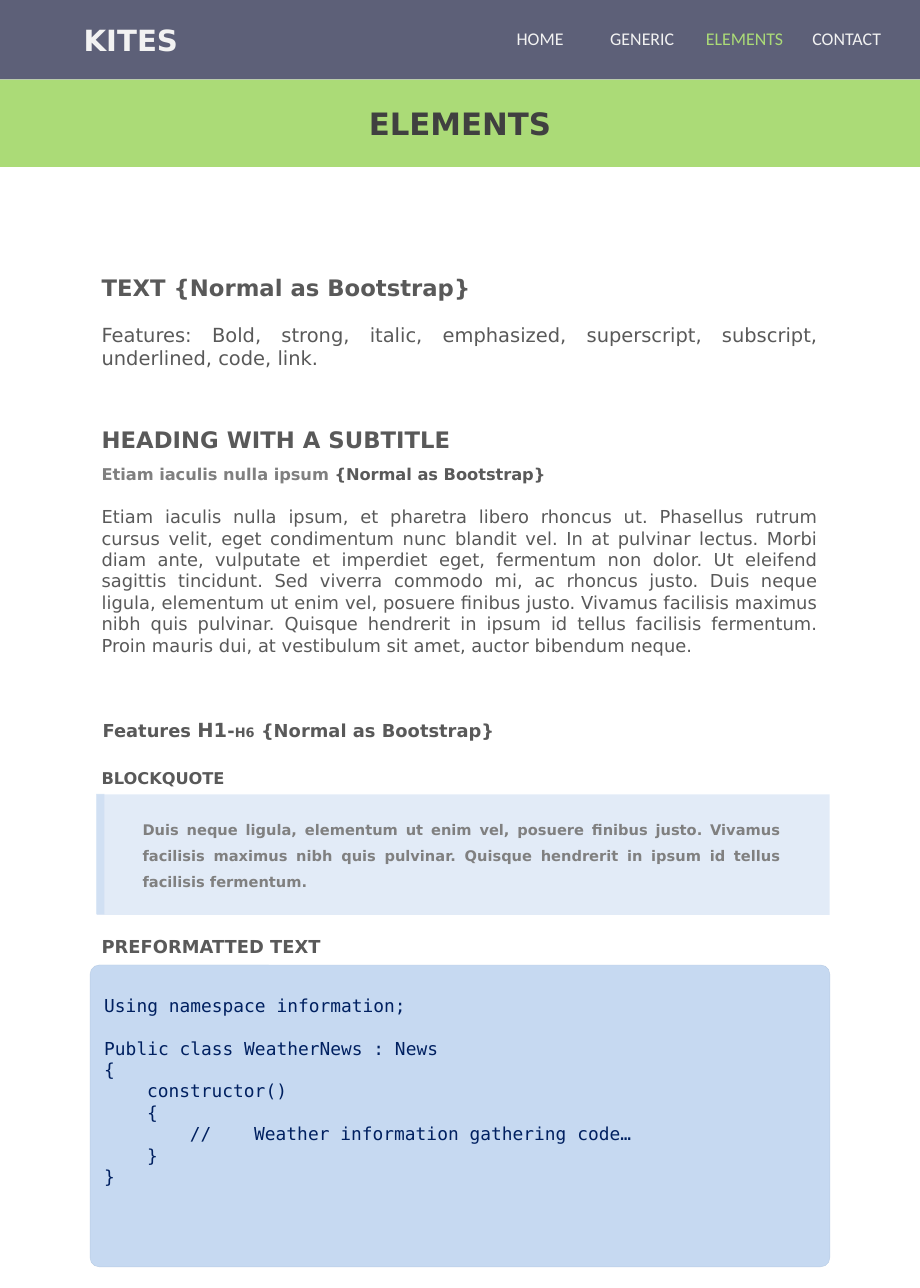
from lxml import etree
from pptx import Presentation, util as u
from pptx.dml.color import RGBColor
from pptx.enum import shapes, text
from pptx.oxml import ns

Cm, Pt = u.Cm, u.Pt
SANS, MONO, NAV_FONT = "DejaVu Sans", "DejaVu Sans Mono", "Calibri"
COLORS = {
    "navy": "0F1437", "white": "FFFFFF", "light": "F2F2F2", "green": "ABDB77",
    "title": "404040", "body": "595959", "muted": "808080",
    "blue": "C6D9F1", "edge": "B9CDE5", "code": "002060",
}
PAGE_WIDTH, PAGE_HEIGHT = 20, 28
NAV_HEIGHT = 1.73
LEFT, WIDTH, HEADING_WIDTH = 1.96, 16.08, 10.16
CODE_SIZE = 11
CODE_CHAR = CODE_SIZE * 0.6  # advance of one monospaced letter, in points
CODE_LINE = CODE_SIZE * 1.2  # gap of one line, in points

LOREM = (
    "Etiam iaculis nulla ipsum, et pharetra libero rhoncus ut. Phasellus rutrum cursus "
    "velit, eget condimentum nunc blandit vel. In at pulvinar lectus. Morbi diam ante, "
    "vulputate et imperdiet eget, fermentum non dolor. Ut eleifend sagittis tincidunt. "
    "Sed viverra commodo mi, ac rhoncus justo. Duis neque ligula, elementum ut enim vel, "
    "posuere finibus justo. Vivamus facilisis maximus nibh quis pulvinar. Quisque hendrerit "
    "in ipsum id tellus facilisis fermentum. Proin mauris dui, at vestibulum sit amet, "
    "auctor bibendum neque."
)
QUOTE = (
    "Duis neque ligula, elementum ut enim vel, posuere finibus justo. Vivamus facilisis "
    "maximus nibh quis pulvinar. Quisque hendrerit in ipsum id tellus facilisis fermentum."
)
CODE = [
    "Using namespace information;",
    "Public class WeatherNews : News",
    "{",
    "\tconstructor()",
    "\t{",
    "\t\t//\tWeather information gathering code…",
    "\t}",
    "}",
]


def rgb(name):
    return RGBColor.from_string(COLORS[name])


def style(paragraph, size, color, bold=False, font=SANS, align=text.PP_ALIGN.LEFT):
    paragraph.alignment = align
    paragraph.font.name = font
    paragraph.font.size = Pt(size)
    paragraph.font.bold = bold
    paragraph.font.color.rgb = rgb(color)


def add_panel(slide, left, top, width, height, color, opacity=100,
              kind=shapes.MSO_SHAPE.RECTANGLE):
    panel = slide.shapes.add_shape(kind, Cm(left), Cm(top), Cm(width), Cm(height))
    panel.shadow.inherit = False
    panel.fill.solid()
    panel.fill.fore_color.rgb = rgb(color)
    panel.line.fill.background()
    if opacity < 100:
        tint = panel.fill._xPr.find(ns.qn("a:solidFill"))[0]
        etree.SubElement(tint, ns.qn("a:alpha")).set("val", str(opacity * 1000))
    return panel


def add_text(slide, left, top, width, height, runs, size, color, bold=False,
             align=text.PP_ALIGN.LEFT):
    """Runs are (wording, size, colour); None keeps the paragraph's value."""
    box = slide.shapes.add_textbox(Cm(left), Cm(top), Cm(width), Cm(height))
    frame = box.text_frame
    frame.word_wrap = True
    frame.auto_size = text.MSO_AUTO_SIZE.SHAPE_TO_FIT_TEXT
    paragraph = frame.paragraphs[0]
    style(paragraph, size, color, bold, align=align)
    if isinstance(runs, str):
        runs = [(runs, None, None)]
    for wording, run_size, run_color in runs:
        run = paragraph.add_run()
        run.text = wording
        if run_size:
            run.font.size = Pt(run_size)
        if run_color:
            run.font.color.rgb = rgb(run_color)
    return paragraph


def add_menu(slide, entries, current):
    frame = slide.shapes.add_table(1, len(entries), Cm(10.63), Cm(0.39), Cm(8.89), Cm(0.92))
    menu = frame.table
    menu.first_row = menu.horz_banding = False
    # Plain table style: no grid
    menu._tbl.tblPr.find(ns.qn("a:tableStyleId")).text = "{2D5ABB26-0587-4C30-8999-92F81FD0307C}"
    for cell, entry in zip(menu.iter_cells(), entries):
        cell.fill.background()
        cell.vertical_anchor = text.MSO_ANCHOR.MIDDLE
        cell.margin_left = cell.margin_right = Cm(0.23)
        cell.margin_top = cell.margin_bottom = Cm(0.11)
        cell.text = entry
        style(cell.text_frame.paragraphs[0], 11, "green" if entry == current else "light",
              font=NAV_FONT, align=text.PP_ALIGN.CENTER)


def set_tabs(paragraph, columns):
    stops = etree.Element(ns.qn("a:tabLst"))
    for column in columns:
        stop = etree.SubElement(stops, ns.qn("a:tab"))
        stop.set("pos", str(int(Pt(column * CODE_CHAR))))
        stop.set("algn", "l")
    # Tab stops come before the default run properties
    paragraph._p.get_or_add_pPr().find(ns.qn("a:defRPr")).addprevious(stops)


def add_code(slide, lines):
    block = add_panel(slide, LEFT, 20.98, WIDTH, 6.56, "blue",
                      kind=shapes.MSO_SHAPE.ROUNDED_RECTANGLE)
    block.adjustments[0] = 0.03
    block.line.color.rgb = rgb("edge")
    block.line.width = Pt(0.25)
    frame = block.text_frame
    frame.word_wrap = True
    frame.vertical_anchor = text.MSO_ANCHOR.TOP
    frame.margin_top = Cm(0.58)
    for number, line in enumerate(lines):
        paragraph = frame.paragraphs[0] if number == 0 else frame.add_paragraph()
        paragraph.add_run().text = line
        style(paragraph, CODE_SIZE, "code", font=MONO)
        set_tabs(paragraph, (4, 8, 14))
    frame.paragraphs[0].space_after = Pt(CODE_LINE)


def main():
    deck = Presentation()
    deck.slide_width, deck.slide_height = Cm(PAGE_WIDTH), Cm(PAGE_HEIGHT)
    slide = deck.slides.add_slide(deck.slide_layouts[6])
    center, justify = text.PP_ALIGN.CENTER, text.PP_ALIGN.JUSTIFY

    # Navigation bar
    add_panel(slide, 0, 0, PAGE_WIDTH, NAV_HEIGHT, "navy", 75)
    add_panel(slide, 0, 0, PAGE_WIDTH, NAV_HEIGHT, "white", 10)
    add_menu(slide, ["HOME", "GENERIC", "ELEMENTS", "CONTACT"], "ELEMENTS")
    add_text(slide, 0.99, 0.35, 3.71, 1.02, "KITES", 18, "light", True, center)

    # Page title
    banner = add_panel(slide, 0, NAV_HEIGHT, PAGE_WIDTH, 1.9, "green")
    banner.text_frame.text = "ELEMENTS"
    style(banner.text_frame.paragraphs[0], 19, "title", True, align=center)

    # Section headings: top, height, wording, size
    for top, height, wording, size in (
        (5.83, 0.86, "TEXT {Normal as Bootstrap}", 14),
        (9.13, 0.86, "HEADING WITH A SUBTITLE", 14),
        (16.57, 0.69, "BLOCKQUOTE", 10),
        (20.22, 0.74, "PREFORMATTED TEXT", 11),
    ):
        add_text(slide, LEFT, top, HEADING_WIDTH, height, wording, size, "body", True)

    # Text and subtitle sections
    add_text(slide, LEFT, 6.89, WIDTH, 1.27,
             "Features: Bold, strong, italic, emphasized, superscript, subscript, "
             "underlined, code, link.", 12, "body", align=justify)
    add_text(slide, LEFT, 9.97, HEADING_WIDTH, 0.69,
             [("Etiam iaculis nulla ipsum ", None, "muted"),
              ("{Normal as Bootstrap}", None, None)], 10, "body", True)
    add_text(slide, LEFT, 10.87, WIDTH, 3.56, LOREM, 11, "body", align=justify)

    # Heading sizes
    add_text(slide, 1.98, 15.49, 13.34, 0.76,
             [("Features ", None, None), ("H1", 12, None), ("-", None, None),
              ("H6", 8, None), (" {Normal as Bootstrap}", None, None)], 11, "body", True)

    # Blockquote
    add_panel(slide, 2.11, 17.27, 15.93, 2.62, "blue", 50)
    add_panel(slide, 2.09, 17.26, 0.18, 2.62, "blue", 60)
    quote = add_text(slide, 2.85, 17.52, 14.35, 1.91, QUOTE, 9, "muted", True, justify)
    quote.line_spacing = 1.5

    # Preformatted text
    add_code(slide, CODE)

    deck.save("out.pptx")


if __name__ == "__main__":
    main()
